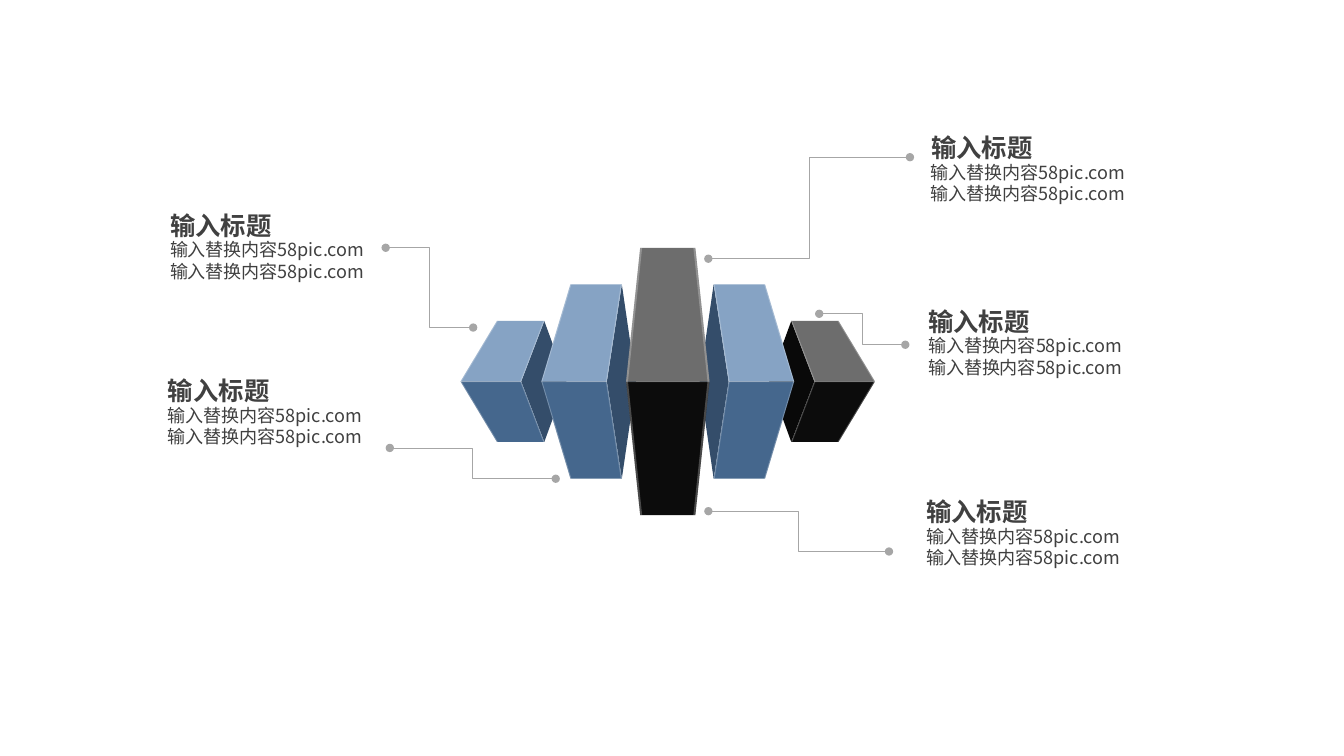
"""Builds a slide of five perspective blocks with labelled callouts."""
from lxml.etree import SubElement
from pptx import Presentation
from pptx.dml.color import RGBColor as Rgb
from pptx.enum.shapes import MSO_CONNECTOR as Link
from pptx.enum.text import MSO_ANCHOR as Anchor
from pptx.oxml.ns import qn
from pptx.util import Pt

FONT = "Noto Sans CJK SC"
HEAD = "输入标题"
BODY = "输入替换内容58pic.com" * 2
INK = Rgb(0x40, 0x40, 0x40)
LINE = Rgb(0xA6, 0xA6, 0xA6)
WHITE = Rgb(0xFF, 0xFF, 0xFF)
GREY = Rgb(0x6D, 0x6D, 0x6D)
BLACK = Rgb(0x0C, 0x0C, 0x0C)
BLUE = (Rgb(0x34, 0x4D, 0x6A), Rgb(0x86, 0xA3, 0xC4), Rgb(0x45, 0x67, 0x8D))
DARK = (Rgb(0x09, 0x09, 0x09), GREY, BLACK)

MID_X, MID_Y = 477, 272.5
OUTER = dict(back=72.4, near=88.2, fold=104.7, far=122, tip=148, half=43.2)
INNER = dict(back=22.7, near=32.8, fold=43.5, far=69.5, tip=90.3, half=69.4)
CORE = dict(far=19.7, tip=29.8, half=95.4)
SIDES = [(-1, OUTER, BLUE), (-1, INNER, BLUE), (1, OUTER, DARK), (1, INNER, BLUE)]
THIN = 0.7

LABELS = [(106.5, 151.2), (105, 269.3), (650, 95.6), (648, 219.6), (646.5, 355.7)]
LINKS = [
    (338, 234, 275.5, 177),
    (397, 342, 278.5, 320),
    (650, 112.3, 506, 184.8),
    (646.7, 246.3, 585.2, 224.2),
    (635, 394, 506, 365.2),
]


def draw(slide, side, points, color, alpha=None):
    """Draw a polygon from offsets to the centre, mirrored by side."""
    spots = [(Pt(MID_X + side * x), Pt(MID_Y + y)) for x, y in points]
    pen = slide.shapes.build_freeform(*spots[0], scale=1.0)
    pen.add_line_segments(spots[1:], close=True)
    shape = pen.convert_to_shape()
    shape.shadow.inherit = False
    shape.fill.solid()
    shape.fill.fore_color.rgb = color
    shape.line.fill.background()
    if alpha:
        tint = shape._element.spPr.find(".//" + qn("a:srgbClr"))
        SubElement(tint, qn("a:alpha"), val=str(alpha * 1000))


def block(slide, side, back, near, fold, far, tip, half, colors):
    """Draw the three faces of a side block."""
    flank, upper, lower = colors
    draw(slide, side, [(fold, 0), (near, -half), (back, 0), (near, half)], flank)
    for edge, color in ((-half, upper), (half, lower)):
        draw(slide, side, [(fold, 0), (near, edge), (far, edge), (tip, 0)], color)


def core(slide, far, tip, half):
    """Draw the two faces of the middle block."""
    for edge, color in ((-half, GREY), (half, BLACK)):
        draw(slide, 1, [(-tip, 0), (-far, edge), (far, edge), (tip, 0)], color)


def band(slide, side, start, end):
    """Draw the pale line along the middle of a block."""
    low, high = -THIN / 2, THIN / 2
    draw(slide, side, [(start, low), (end, low), (end, high), (start, high)], WHITE, 25)


def rim(slide, side, edge, bend, half, width):
    """Draw a pale bent strip along an edge."""
    points = [(edge, -half), (bend, 0), (edge, half),
              (edge + width, half), (bend + width, 0), (edge + width, -half)]
    draw(slide, side, points, WHITE, 25)


def shine(slide):
    """Draw all pale lines over the blocks."""
    for side, size, _ in SIDES:
        band(slide, side, size["fold"], size["tip"])
        rim(slide, side, size["far"], size["tip"], size["half"], -THIN)
        rim(slide, side, size["near"], size["fold"], size["half"], THIN)
    band(slide, 1, -CORE["tip"], CORE["tip"])
    for side in (1, -1):
        rim(slide, side, CORE["far"], CORE["tip"], CORE["half"], -2 * THIN)


def link(slide, *ends):
    """Draw an elbow line with a dot at each end."""
    wire = slide.shapes.add_connector(Link.ELBOW, *map(Pt, ends))
    wire.line.color.rgb = LINE
    wire.line.width = Pt(0.5)
    pen = wire.line._get_or_add_ln()
    for end in ("a:headEnd", "a:tailEnd"):
        SubElement(pen, qn(end), type="oval")
    SubElement(wire._element.spPr, qn("a:effectLst"))


def write(slide, text, left, top, width, height, size, bold=False, anchor=Anchor.TOP):
    """Add a text box."""
    frame = slide.shapes.add_textbox(*map(Pt, (left, top, width, height))).text_frame
    frame.word_wrap = True
    frame.vertical_anchor = anchor
    frame.margin_left = frame.margin_right = Pt(15)
    frame.margin_top = frame.margin_bottom = 0
    run = frame.paragraphs[0].add_run()
    run.text = text
    font = run.font
    font.name, font.size, font.bold = FONT, Pt(size), bold
    font.color.rgb = INK
    SubElement(font._element, qn("a:ea"), typeface=FONT)


def label(slide, left, top):
    """Add a heading with its body text."""
    write(slide, HEAD, left, top, 204, 19.4, size=18.1, bold=True, anchor=Anchor.MIDDLE)
    write(slide, BODY, left, top + 19.4, 174, 42.5, size=12.9)


def main():
    """Build and save the slide."""
    deck = Presentation()
    deck.slide_width, deck.slide_height = Pt(960), Pt(540)
    slide = deck.slides.add_slide(deck.slide_layouts[6])
    for side, size, colors in SIDES:
        block(slide, side, colors=colors, **size)
    core(slide, **CORE)
    shine(slide)
    for ends in LINKS:
        link(slide, *ends)
    for spot in LABELS:
        label(slide, *spot)
    deck.save("out.pptx")


if __name__ == "__main__":
    main()
